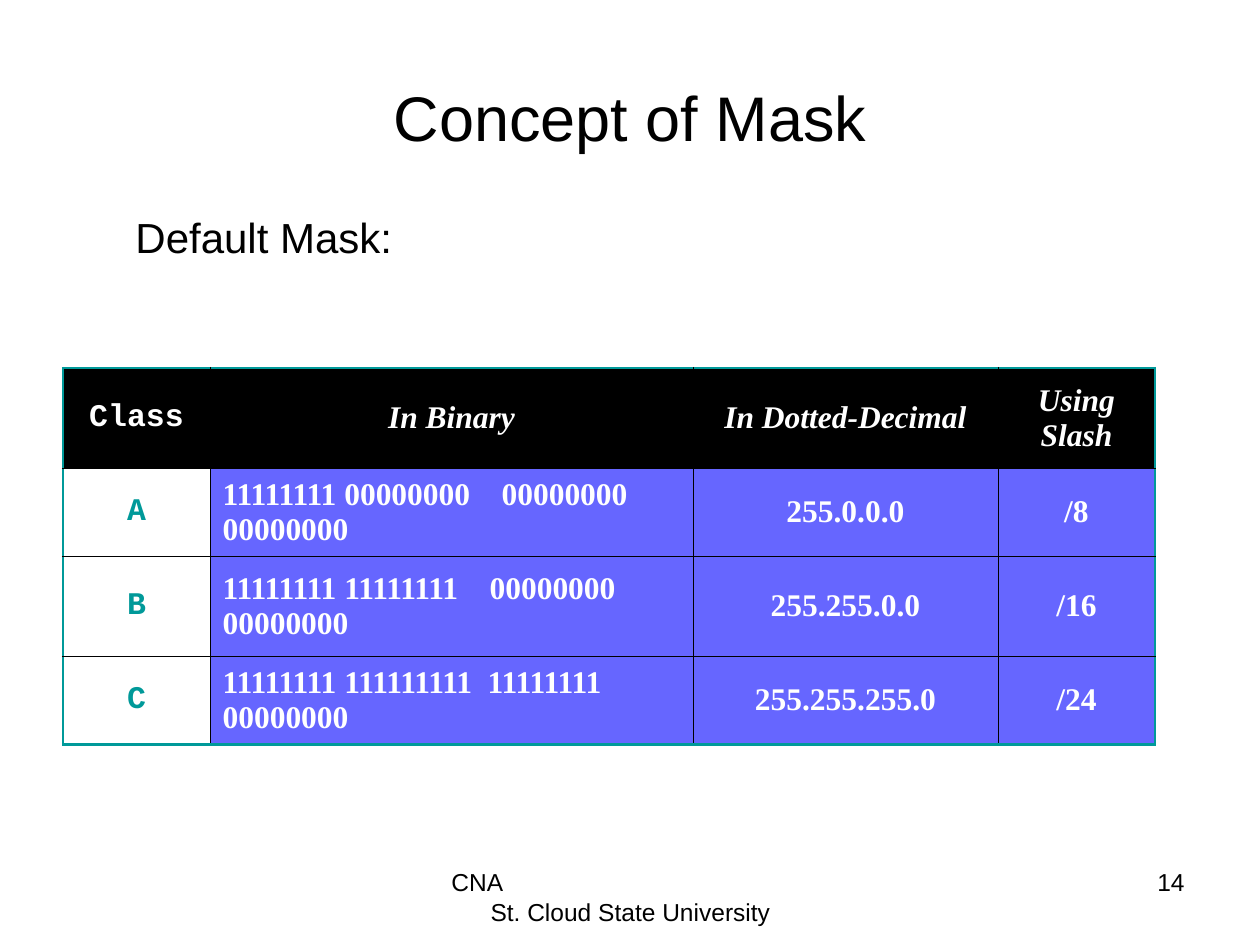
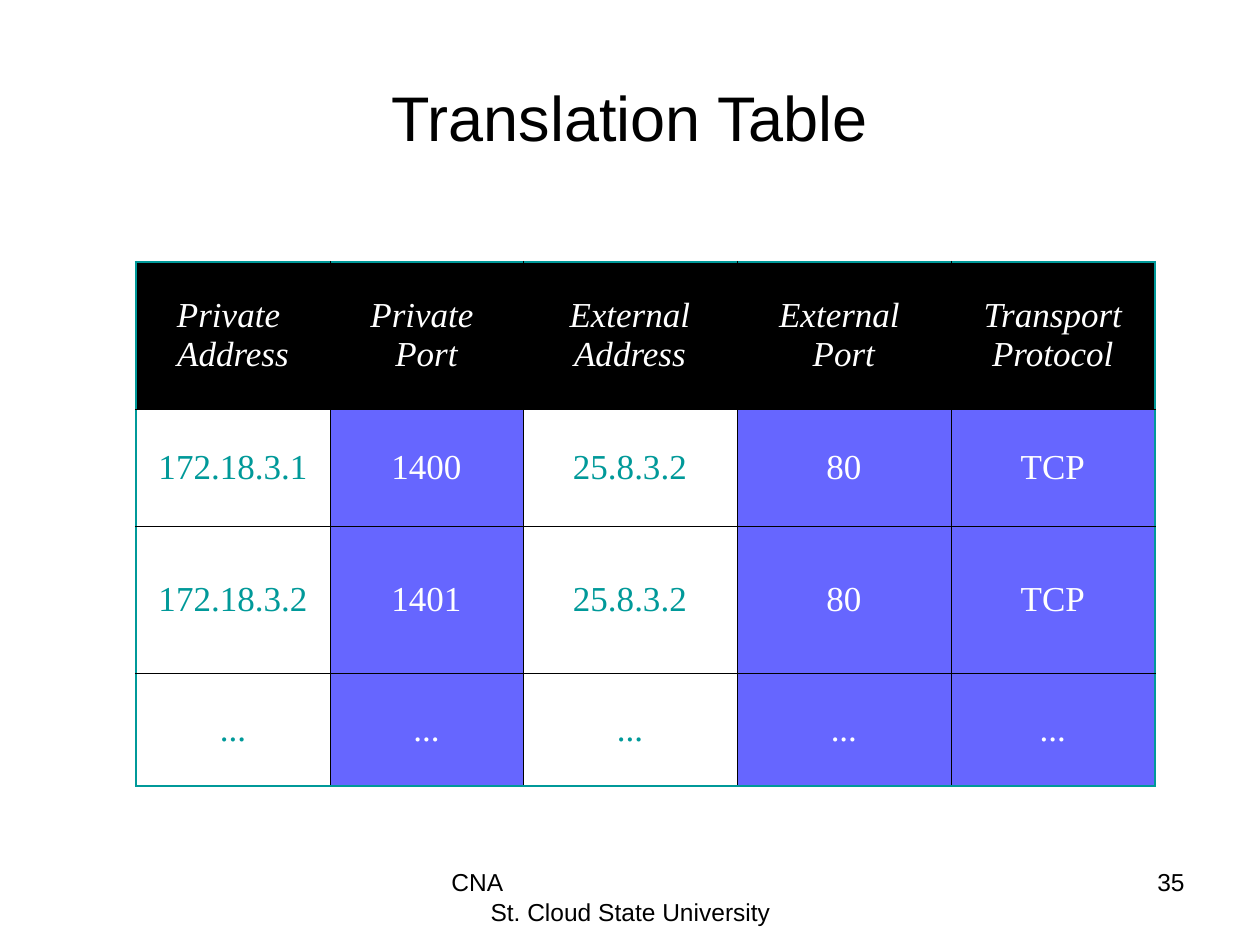
"""Builds two slides on network masks and address translation, each with a table."""
from pptx import Presentation
from pptx.dml.color import RGBColor
from pptx.enum.text import MSO_ANCHOR, MSO_AUTO_SIZE, PP_ALIGN
from pptx.oxml import parse_xml
from pptx.oxml.ns import nsdecls
from pptx.util import Pt

LEFT, CENTER, RIGHT = PP_ALIGN.LEFT, PP_ALIGN.CENTER, PP_ALIGN.RIGHT
MIDDLE, TOP = MSO_ANCHOR.MIDDLE, MSO_ANCHOR.TOP
NO_FIT = MSO_AUTO_SIZE.NONE

PX = 914400 / 126
SLIDE = (1260, 945)
TITLE_BOX = (63, 38, 1134, 157)
FOOTER_BOX = (431, 861, 399, 65)
NUMBER_BOX = (903, 861, 294, 65)
SUBTITLE_BOX = (123, 205, 282, 63)

COLORS = {"black": "000000", "white": "FFFFFF", "teal": "009999", "blue": "6666FF"}
SANS, SERIF, MONO = "Arial", "Times New Roman", "Courier New"
THIN, THICK = 0.45, 1.47
FOOTER = [("CNA", LEFT, 8), ("St. Cloud State University", CENTER, 0)]

SLIDES = [
    {
        "title": "Concept of Mask",
        "subtitle": "Default Mask:",
        "number": "14",
        "at": (63, 368),
        "cols": [147, 483, 305, 157],
        "rows": [100, 88, 100, 88],
        "size": 18,
        "bold": True,
        "plain_cols": {0},
        "mono_cols": {0},
        "left_cols": {1},
        "tabs": {1: 279, 2: 267, 3: 265},
        "cells": [
            ["Class", "In Binary", "In Dotted-Decimal", "Using Slash"],
            ["A", "11111111 00000000\t00000000 00000000", "255.0.0.0", "/8"],
            ["B", "11111111 11111111\t00000000 00000000", "255.255.0.0", "/16"],
            ["C", "11111111 111111111\t11111111 00000000", "255.255.255.0", "/24"],
        ],
    },
    {
        "title": "Translation Table",
        "number": "35",
        "at": (136, 262),
        "cols": [194, 193, 214, 214, 204],
        "rows": [147, 117, 147, 113],
        "size": 20,
        "bold": False,
        "plain_cols": {0, 2},
        "mono_cols": set(),
        "left_cols": set(),
        "tabs": {},
        "cells": [
            ["Private \nAddress", "Private \nPort", "External\nAddress",
             "External \nPort", "Transport\nProtocol"],
            ["172.18.3.1", "1400", "25.8.3.2", "80", "TCP"],
            ["172.18.3.2", "1401", "25.8.3.2", "80", "TCP"],
            ["..."] * 5,
        ],
    },
]


def emu(*lengths):
    return [round(n * PX) for n in lengths]


def rgb(name):
    return RGBColor.from_string(COLORS[name])


def write(p, text, size, font=SANS, color="black", align=LEFT, bold=False, italic=False):
    p.alignment = align
    for i, line in enumerate(text.split("\n")):
        if i:
            p.add_line_break()
        r = p.add_run()
        r.text = line
        f = r.font
        f.size, f.name, f.bold, f.italic = Pt(size), font, bold, italic
        f.color.rgb = rgb(color)


def add_text(s, box, lines, size, wrap=True):
    tf = s.shapes.add_textbox(*emu(*box)).text_frame
    tf.word_wrap, tf.vertical_anchor = wrap, TOP
    for i, (text, align, indent) in enumerate(lines):
        p = tf.add_paragraph() if i else tf.paragraphs[0]
        if indent:
            p._p.get_or_add_pPr().set("marL", str(emu(indent)[0]))
        write(p, text, size, align=align)


def add_title(s, text):
    sp = s.shapes.title
    sp.left, sp.top, sp.width, sp.height = emu(*TITLE_BOX)
    tf = sp.text_frame
    tf.auto_size, tf.vertical_anchor = NO_FIT, MIDDLE
    write(tf.paragraphs[0], text, 36, align=CENTER)


def add_borders(cell, outer):
    tc_pr = cell._tc.get_or_add_tcPr()
    for side in "LRTB":
        color, width = ("teal", THICK) if outer[side] else ("black", THIN)
        tc_pr.append(parse_xml(
            f'<a:ln{side} {nsdecls("a")} w="{Pt(width)}"><a:solidFill>'
            f'<a:srgbClr val="{COLORS[color]}"/></a:solidFill></a:ln{side}>'))


def add_tab(p, stop):
    p._p.get_or_add_pPr().append(parse_xml(
        f'<a:tabLst {nsdecls("a")}><a:tab pos="{emu(stop)[0]}" algn="l"/></a:tabLst>'))


def fill_cell(cell, text, row, col, d):
    header, plain, mono = row == 0, col in d["plain_cols"], col in d["mono_cols"]
    add_borders(cell, {"L": col == 0, "R": col == len(d["cols"]) - 1,
                       "T": header, "B": row == len(d["rows"]) - 1})
    cell.fill.solid()
    cell.fill.fore_color.rgb = rgb("black" if header else "white" if plain else "blue")
    cell.vertical_anchor = MIDDLE
    cell.margin_left = cell.margin_right = Pt(7.2)
    cell.margin_top = cell.margin_bottom = Pt(3.6)
    p = cell.text_frame.paragraphs[0]
    if "\t" in text:
        add_tab(p, d["tabs"][row])
    if mono:
        p.space_after = Pt(3)
    write(p, text, d["size"], MONO if mono else SERIF,
          "teal" if plain and not header else "white",
          LEFT if col in d["left_cols"] and not header else CENTER,
          d["bold"], header and not mono)


def add_grid(s, d):
    box = emu(*d["at"], sum(d["cols"]), sum(d["rows"]))
    table = s.shapes.add_table(len(d["rows"]), len(d["cols"]), *box).table
    table.first_row = table.horz_banding = False
    for column, width in zip(table.columns, emu(*d["cols"])):
        column.width = width
    for row, height in zip(table.rows, emu(*d["rows"])):
        row.height = height
    for row, texts in enumerate(d["cells"]):
        for col, text in enumerate(texts):
            fill_cell(table.cell(row, col), text, row, col, d)


def main():
    prs = Presentation()
    prs.slide_width, prs.slide_height = emu(*SLIDE)
    for d in SLIDES:
        s = prs.slides.add_slide(prs.slide_layouts[5])
        add_text(s, FOOTER_BOX, FOOTER, 14)
        add_text(s, NUMBER_BOX, [(d["number"], RIGHT, 0)], 14)
        add_title(s, d["title"])
        add_grid(s, d)
        if "subtitle" in d:
            add_text(s, SUBTITLE_BOX, [(d["subtitle"], LEFT, 0)], 24, wrap=False)
    prs.save("out.pptx")


if __name__ == "__main__":
    main()
